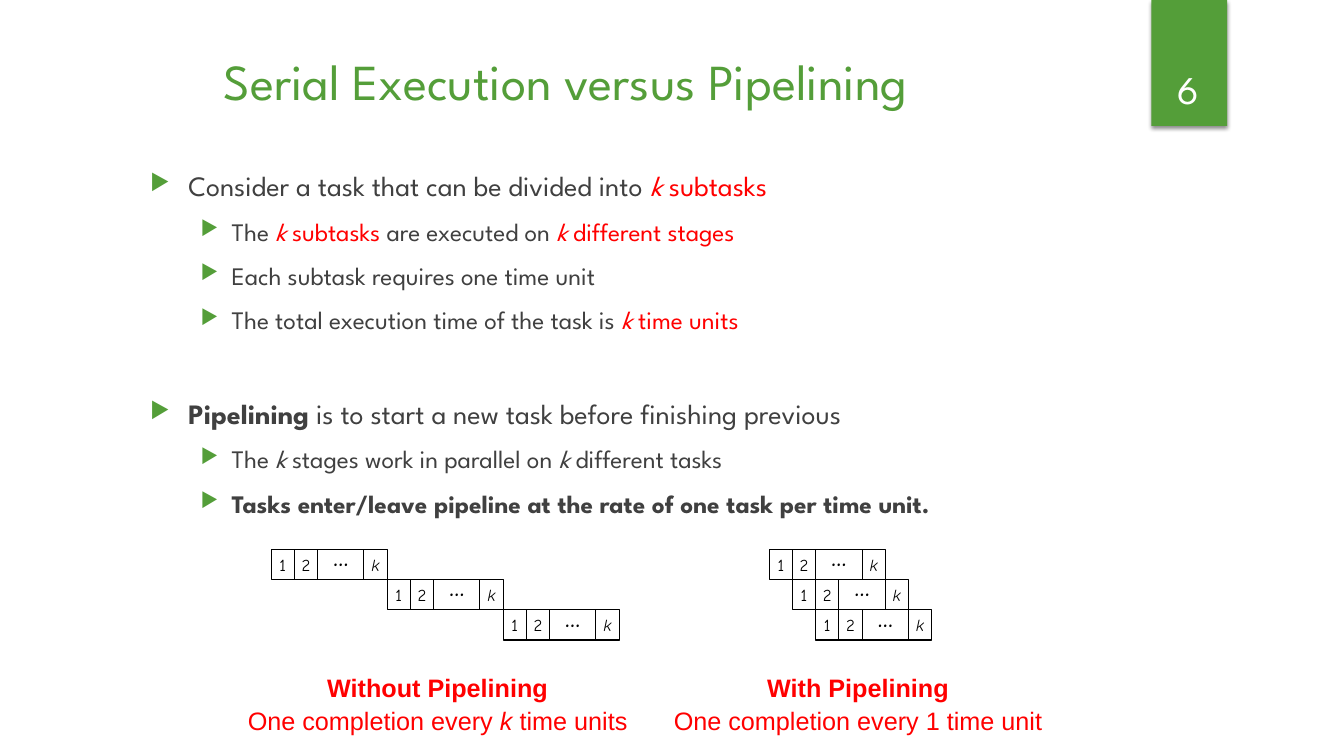
from lxml import etree
from pptx import Presentation
from pptx import util as u
from pptx.dml.color import RGBColor
from pptx.enum import shapes, text
from pptx.oxml import parse_xml
from pptx.oxml.ns import nsdecls, qn

PX = 9144  # one hundredth of an inch
COLORS = {"green": "549E39", "body": "404040", "red": "FF0000",
          "black": "000000", "white": "FFFFFF"}
HEADING_FONT, CELL_FONT, CAPTION_FONT = "League Spartan", "Comic Neue", "Arial"
CENTER = text.PP_ALIGN.CENTER

# (level, space before in points, runs); a run is (text, style):
# r = red, i = italic, b = bold
POINTS = [
    (0, 10, [("Consider a task that can be divided into ", ""), ("k", "ri"),
             (" subtasks", "r")]),
    (1, 10, [("The ", ""), ("k", "ri"), (" subtasks", "r"),
             (" are executed on ", ""), ("k", "ri"), (" different stages", "r")]),
    (1, 10, [("Each subtask requires one time unit", "")]),
    (1, 10, [("The total execution time of the task is ", ""), ("k ", "ri"),
             ("time units", "r")]),
    (0, 44, [("Pipelining", "b"),
             (" is to start a new task before finishing previous", "")]),
    (1, 10, [("The ", ""), ("k", "i"), (" stages work in parallel on ", ""),
             ("k", "i"), (" different tasks", "")]),
    (1, 10, [("Tasks enter/leave pipeline at the rate of one task per time unit.",
              "b")]),
]
LEVELS = [(20, 38, 38), (18, 81, 31)]  # text size, left margin, hanging indent

CELL, ROW = 23, 30
TASK_CELLS = [("1", 1), ("2", 1), ("…", 2), ("k", 1)]  # label, width in cells
TASK_WIDTH = CELL * sum(span for _, span in TASK_CELLS)


def px(*lengths):
    return [u.Emu(n * PX) for n in lengths]


def rgb(name):
    return RGBColor.from_string(COLORS[name])


def add_runs(paragraph, runs, size, font, color):
    for words, style in runs:
        run = paragraph.add_run()
        run.text = words
        run.font.size, run.font.name = u.Pt(size), font
        run.font.bold, run.font.italic = "b" in style, "i" in style
        run.font.color.rgb = rgb("red" if "r" in style else color)


def add_frame(parent, box, inset=(10, 5), anchor=text.MSO_ANCHOR.TOP):
    """Add an empty wrapping text box and return its text frame."""
    frame = parent.add_textbox(*px(*box)).text_frame
    frame.word_wrap = True
    frame.vertical_anchor = anchor
    frame.margin_left = frame.margin_right = px(inset[0])[0]
    frame.margin_top = frame.margin_bottom = px(inset[1])[0]
    return frame


def add_line_of_text(parent, box, runs, size, font, color, **layout):
    paragraph = add_frame(parent, box, **layout).paragraphs[0]
    paragraph.alignment = CENTER
    add_runs(paragraph, runs, size, font, color)


def add_page_tab(slide, box, number):
    left, top, width, height = box
    tab = slide.shapes.add_shape(shapes.MSO_SHAPE.RECTANGLE, *px(*box))
    tab.fill.solid()
    tab.fill.fore_color.rgb = rgb("green")
    tab.line.fill.background()
    tab.shadow.inherit = False
    effects = tab.fill._xPr.find(qn("a:effectLst"))
    effects.append(parse_xml(
        f'<a:outerShdw {nsdecls("a")} blurRad="38100" dist="25400" dir="5400000" '
        'rotWithShape="0"><a:srgbClr val="000000"><a:alpha val="45000"/>'
        '</a:srgbClr></a:outerShdw>'))
    add_line_of_text(slide.shapes, (left - 10, top + 32, width + 17, height - 41),
                     [(number, "")], 28, HEADING_FONT, "white",
                     anchor=text.MSO_ANCHOR.BOTTOM)


def add_bullet(paragraph, margin, hanging):
    props = paragraph._p.get_or_add_pPr()
    props.set("marL", str(margin * PX))
    props.set("indent", str(-hanging * PX))
    color = etree.SubElement(props, qn("a:buClr"))
    etree.SubElement(color, qn("a:srgbClr"), val=COLORS["green"])
    etree.SubElement(props, qn("a:buSzPct"), val="80000")
    etree.SubElement(props, qn("a:buChar"), char="▶")


def add_points(slide, box):
    frame = add_frame(slide.shapes, box)
    for index, (level, space, runs) in enumerate(POINTS):
        paragraph = frame.add_paragraph() if index else frame.paragraphs[0]
        size, margin, hanging = LEVELS[level]
        paragraph.level = level
        paragraph.space_before = u.Pt(space)
        add_bullet(paragraph, margin, hanging)
        add_runs(paragraph, runs, size, HEADING_FONT, "body")


def add_divider(parent, x, top):
    divider = parent.add_connector(shapes.MSO_CONNECTOR.STRAIGHT,
                                   *px(x, top, x, top + ROW))
    divider.line.color.rgb = rgb("black")
    divider.line.width = u.Pt(0.75)
    etree.SubElement(divider.line._get_or_add_ln().getparent(), qn("a:effectLst"))


def add_task(parent, left, top):
    """Draw one task as a bar split into its subtasks."""
    bar = parent.add_shape(shapes.MSO_SHAPE.RECTANGLE,
                           *px(left, top, TASK_WIDTH, ROW))
    bar.fill.solid()
    bar.fill.fore_color.rgb = rgb("white")
    bar.line.color.rgb = rgb("black")
    bar.line.width = u.Pt(0.75)
    bar.shadow.inherit = False
    x = left
    for label, span in TASK_CELLS:
        if x > left:
            add_divider(parent, x, top)
        dots = label == "…"
        style = "b" if dots else "i" if label == "k" else ""
        add_line_of_text(parent, (x, top - 5 if dots else top, span * CELL, ROW),
                         [(label, style)], 16 if dots else 12, CELL_FONT, "black",
                         inset=(0, 0 if dots else 5))
        x += span * CELL


def add_schedule(slide, left, top, step, caption_box, caption):
    """Draw three tasks, each starting one step later, above a caption."""
    group = slide.shapes.add_group_shape().shapes
    for task in range(3):
        add_task(group, left + task * step, top + task * ROW)
    frame = add_frame(group, caption_box)
    for index, runs in enumerate(caption):
        paragraph = frame.add_paragraph() if index else frame.paragraphs[0]
        paragraph.alignment = CENTER
        paragraph.space_before = u.Pt(2)
        add_runs(paragraph, runs, 18, CAPTION_FONT, "red")


def main():
    deck = Presentation()
    deck.slide_width, deck.slide_height = px(1333, 750)
    slide = deck.slides.add_slide(deck.slide_layouts[6])
    add_page_tab(slide, (1142, 0, 75, 125), "6")
    add_line_of_text(slide.shapes, (82, 40, 958, 80),
                     [("Serial Execution versus Pipelining", "")],
                     36, HEADING_FONT, "green", anchor=text.MSO_ANCHOR.MIDDLE)
    add_points(slide, (139, 162, 1082, 557))
    add_schedule(slide, 269, 545, TASK_WIDTH, (233, 662, 402, 73),
                 [[("Without Pipelining", "b")],
                  [("One completion every ", ""), ("k ", "i"), ("time units", "")]])
    add_schedule(slide, 763, 545, CELL, (657, 662, 388, 73),
                 [[("With Pipelining", "b")],
                  [("One completion every 1 time unit", "")]])
    deck.save("out.pptx")


if __name__ == "__main__":
    main()
